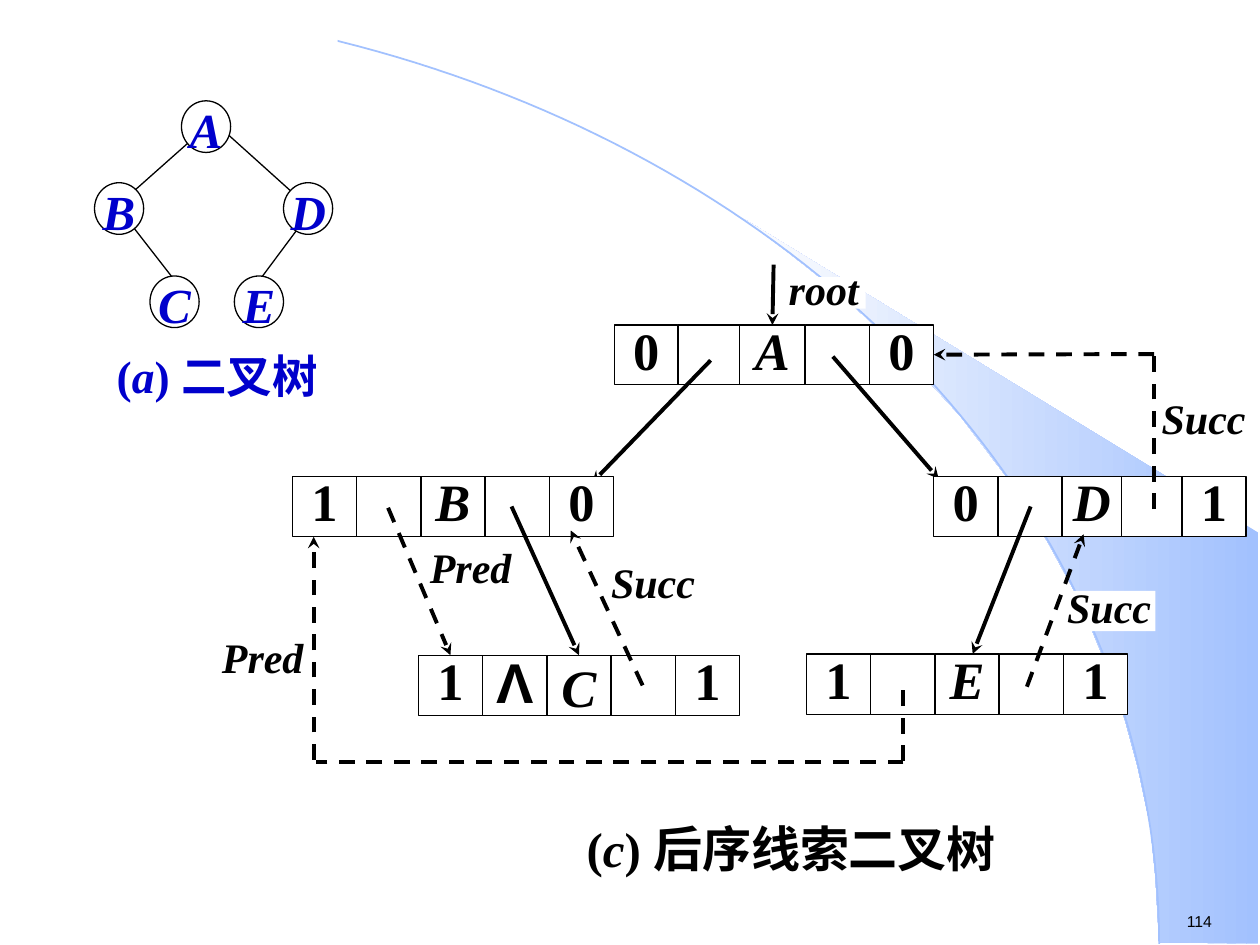
from math import cos, pi, sin

from lxml.etree import SubElement
from pptx import Presentation
from pptx.dml.color import RGBColor
from pptx.enum.dml import MSO_LINE
from pptx.enum.shapes import MSO_CONNECTOR, MSO_SHAPE
from pptx.enum.text import MSO_ANCHOR, PP_ALIGN
from pptx.oxml.ns import qn
from pptx.util import Pt

PX = 9144  # 100 px to the inch
COLORS = {"paper": "FFFFFF", "ink": "000000", "tree": "0000CC",
          "arc": "A2C1FE", "fade": "FEFEFE"}
SERIF = {"name": "Times New Roman", "bold": True}
STYLES = {
    "tag": {**SERIF, "size": Pt(30)},
    "name": {**SERIF, "size": Pt(30), "italic": True},
    "null": {"name": "Arial", "bold": True, "size": Pt(32)},
    "label": {**SERIF, "size": Pt(24), "italic": True},
    "caption": {**SERIF, "size": Pt(28)},
    "node": {**SERIF, "size": Pt(28), "italic": True},
    "tree caption": {**SERIF, "size": Pt(26)},
    "number": {"name": "Arial", "size": Pt(9)},
}
CELL = 51
TOP, RIGHT = 0, 3


def rgb(name):
    return RGBColor.from_string(COLORS[name])


def emu(*lengths):
    return [round(length * PX) for length in lengths]


def write(shape, runs, style, color="ink", spacing=1.0, align=PP_ALIGN.CENTER):
    """Fill a shape with one paragraph; runs are (text, extra format) pairs."""
    frame = shape.text_frame
    settings = {"word_wrap": True, "vertical_anchor": MSO_ANCHOR.TOP, "margin_left": 0,
                "margin_right": 0, "margin_top": 0, "margin_bottom": 0}
    for key, value in settings.items():
        setattr(frame, key, value)
    paragraph = frame.paragraphs[0]
    paragraph.alignment = align
    paragraph.line_spacing = spacing
    for text, extra in runs:
        run = paragraph.add_run()
        run.text = text
        for key, value in {**STYLES[style], **extra}.items():
            setattr(run.font, key, value)
        run.font.color.rgb = rgb(color)


def panel(slide, box, outlined=False, kind=MSO_SHAPE.RECTANGLE):
    shape = slide.shapes.add_shape(kind, *emu(*box))
    shape.shadow.inherit = False
    shape.fill.solid()
    shape.fill.fore_color.rgb = rgb("paper")
    if outlined:
        shape.line.color.rgb = rgb("ink")
        shape.line.width = Pt(0.75)
    else:
        shape.line.fill.background()
    return shape


def link(slide, origin, start, end, weight=2.25, dashed=False, arrow=True):
    """Draw a line; end is a point or a (cell, connection site) pair."""
    left, top = origin
    x, y = start
    glued = not isinstance(end[0], int)
    end_x, end_y = start if glued else end
    line = slide.shapes.add_connector(
        MSO_CONNECTOR.STRAIGHT, *emu(left + x, top + y, left + end_x, top + end_y))
    if glued:
        line.end_connect(*end)
    line.line.color.rgb = rgb("ink")
    line.line.width = Pt(weight)
    if dashed:
        line.line.dash_style = MSO_LINE.DASH
    if arrow:
        SubElement(line.line._get_or_add_ln(), qn("a:tailEnd"), type="stealth")
    SubElement(line._element.spPr, qn("a:effectLst"))


def outline(slide, points, closed):
    (x, y), *rest = [emu(*point) for point in points]
    builder = slide.shapes.build_freeform(x, y, scale=1.0)
    builder.add_line_segments(rest, close=closed)
    shape = builder.convert_to_shape()
    shape.shadow.inherit = False
    return shape


def backdrop(slide, width, height):
    """Gradient wedge and quarter ellipse behind the diagrams."""
    wedge = outline(slide, [
        (920, 748), (999, 749), (999, 423), (589, 173), (624, 199), (653, 222),
        (685, 250), (716, 280), (762, 330), (803, 384), (832, 431), (858, 479),
        (878, 528), (893, 572), (903, 609), (913, 656), (917, 696)], closed=True)
    wedge.line.fill.background()
    wedge.fill.gradient()
    wedge.fill.gradient_angle = 180
    for stop, color, position in zip(wedge.fill.gradient_stops, ("arc", "fade"), (0, 1)):
        stop.color.rgb = rgb(color)
        stop.position = position

    steps = 90
    angles = [pi / 2 * step / steps for step in range(steps + 1)]
    arc = outline(slide, [(width * sin(a), height * (1 - cos(a))) for a in angles],
                  closed=False)
    arc.fill.background()
    arc.line.color.rgb = rgb("arc")
    arc.line.width = Pt(1)


def binary_tree(slide, box):
    left, top = box[:2]
    panel(slide, box)
    for start, end in [((169, 96), (98, 159)), ((169, 96), (239, 159)),
                       ((104, 178), (139, 223)), ((239, 178), (204, 225))]:
        link(slide, (left, top), start, end, weight=0.75, arrow=False)
    for name, x, y in [("A", 144, 80), ("B", 75, 145), ("D", 225, 145),
                       ("C", 119, 219), ("E", 186, 219)]:
        node = panel(slide, (left + x, top + y, 39, 41), True, MSO_SHAPE.OVAL)
        write(node, [(name, {})], "node", "tree", 0.85)
    caption = panel(slide, (left + 80, top + 285, 185, 34))
    write(caption, [("(", {}), ("a", {"italic": True}), (") 二叉树", {})],
          "tree caption", "tree", 0.8)


def record(slide, left, top, fields, widths=(CELL,) * 5, height=48, name_spacing=0.9):
    """Draw a row of tag, link, name, link and tag cells and return the cells."""
    cells = []
    for field, width in zip(fields, widths):
        cell = panel(slide, (left, top, width, height), True)
        if field:
            style = "null" if field == "Λ" else "name" if field.isalpha() else "tag"
            write(cell, [(field, {})], style,
                  spacing=name_spacing if style == "name" else 0.9)
        cells.append(cell)
        left += width
    return cells


def threaded_tree(slide, box):
    left, top = origin = box[:2]
    labels = {"Pred": (71, 24, 0.7, PP_ALIGN.CENTER), "root": (61, 25, 0.7, PP_ALIGN.LEFT),
              "Succ": (70, 32, 0.8, PP_ALIGN.LEFT)}
    for text, x, y in [("Pred", 238, 241), ("Pred", 73, 312), ("root", 526, 20),
                       ("Succ", 822, 119), ("Succ", 385, 249), ("Succ", 747, 269)]:
        width, height, spacing, align = labels[text]
        write(panel(slide, (left + x, top + y, width, height)), [(text, {})], "label",
              spacing=spacing, align=align)
    caption = panel(slide, (left + 255, top + 455, 546, 40))
    write(caption, [("(", {}), ("c", {"italic": True}), (") 后序线索二叉树", {})],
          "caption", spacing=0.9)

    a_cells = record(slide, left + 388, top + 58, ("0", "", "A", "", "0"),
                     (50, 49, 52, 51, 51), 47)
    for start, end in [((464, 86), (370, 183)), ((561, 83), (645, 180)),
                       ((514, 10), (a_cells[2], TOP))]:
        link(slide, origin, start, end)
    record(slide, left + 132, top + 178, ("1", "", "B", "", "0"))
    record(slide, left + 641, top + 178, ("0", "", "D", "", "1"), (51, 51, 47, 48, 51))
    c_cells = record(slide, left + 232, top + 320, ("1", "Λ", "C", "", "1"),
                     name_spacing=1.0)
    record(slide, left + 540, top + 319, ("1", "", "E", "", "1"))

    for start, end in [((306, 202), (c_cells[2], TOP)), ((718, 202), (672, 319))]:
        link(slide, origin, start, end)
    for start, end, arrow in [
            ((410, 344), (353, 221), True), ((208, 203), (c_cells[0], TOP), True),
            ((715, 345), (760, 224), True), ((816, 81), (a_cells[4], RIGHT), True),
            ((816, 204), (816, 81), False), ((149, 403), (149, 226), True),
            ((617, 405), (151, 405), False), ((617, 404), (617, 343), False)]:
        link(slide, origin, start, end, dashed=True, arrow=arrow)


def page_number(slide, box):
    number = slide.shapes.add_textbox(*emu(*box))
    write(number, [("114", {})], "number", align=PP_ALIGN.LEFT)


def main():
    deck = Presentation()
    deck.slide_width, deck.slide_height = emu(1000, 750)
    slide = deck.slides.add_slide(deck.slide_layouts[6])
    backdrop(slide, 920, 749)
    page_number(slide, (942, 724, 50, 15))
    binary_tree(slide, (0, 0, 268, 374))
    threaded_tree(slide, (100, 200, 890, 500))
    deck.save("out.pptx")


if __name__ == "__main__":
    main()
